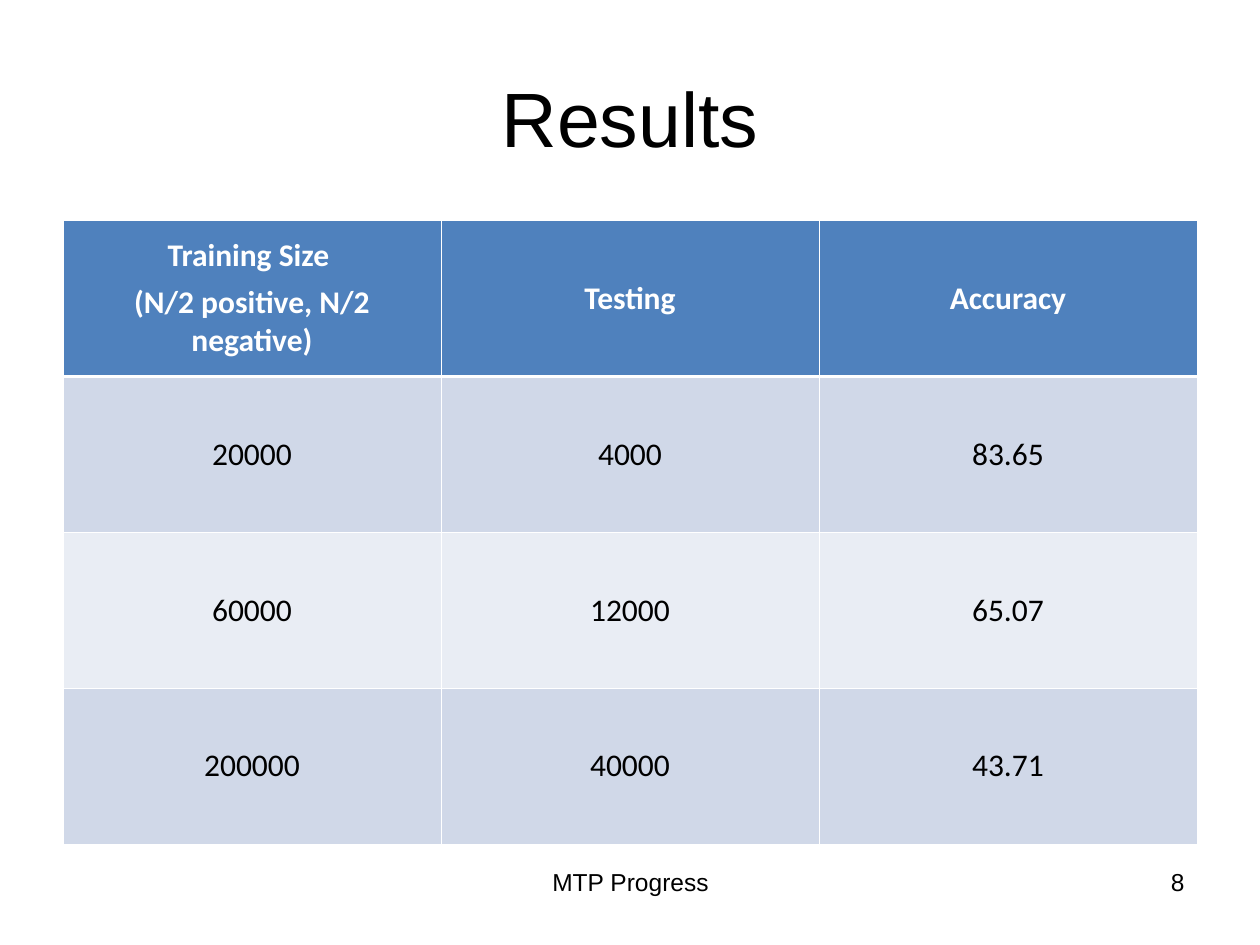
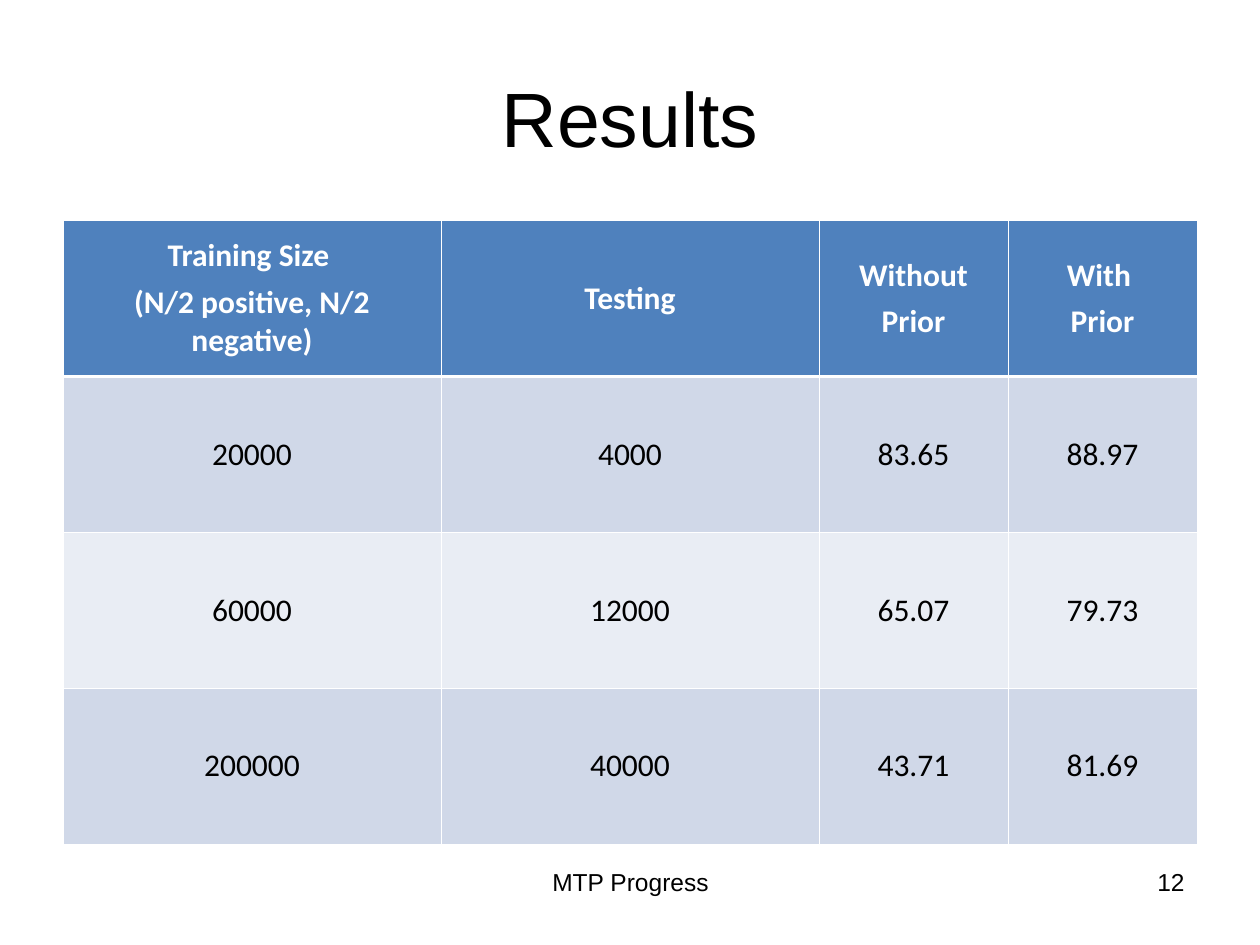
"""Build two results slides, each with a table of accuracy by training size."""
from lxml.etree import SubElement
from pptx import Presentation
from pptx.dml.color import RGBColor
from pptx.enum.text import MSO_ANCHOR, PP_ALIGN
from pptx.oxml.ns import qn
from pptx.util import Inches, Pt

BLACK = RGBColor(0x00, 0x00, 0x00)
WHITE = RGBColor(0xFF, 0xFF, 0xFF)
HEADER = RGBColor(0x4F, 0x81, 0xBD)
BANDS = [RGBColor(0xE9, 0xED, 0xF4), RGBColor(0xD0, 0xD8, 0xE8)]
THIN, THICK = Pt(0.45), Pt(1.47)
TABLE_HEIGHT = 4.95

SIZE_HEAD = "Training Size \n(N/2 positive, N/2 negative)"
SLIDES = [
    ("8", [3, 3, 3], [
        [SIZE_HEAD, "Testing", "Accuracy"],
        ["20000", "4000", "83.65"],
        ["60000", "12000", "65.07"],
        ["200000", "40000", "43.71"],
    ]),
    ("12", [3, 3, 1.5, 1.5], [
        [SIZE_HEAD, "Testing", "Without\nPrior", "With \nPrior"],
        ["20000", "4000", "83.65", "88.97"],
        ["60000", "12000", "65.07", "79.73"],
        ["200000", "40000", "43.71", "81.69"],
    ]),
]


def style(p, align, font, size, color, bold=False):
    p.alignment = align
    p.font.name = font
    p.font.size = Pt(size)
    p.font.color.rgb = color
    p.font.bold = bold


def add_border(cell, side, width):
    ln = SubElement(cell._tc.get_or_add_tcPr(), qn(f"a:ln{side}"), w=str(width))
    fill = SubElement(ln, qn("a:solidFill"))
    SubElement(fill, qn("a:srgbClr"), val=str(WHITE))


prs = Presentation()
prs.slide_width, prs.slide_height = Inches(10), Inches(7.5)

for number, widths, rows in SLIDES:
    s = prs.slides.add_slide(prs.slide_layouts[5])

    title = s.shapes.title
    title.left, title.top = Inches(0.5), Inches(0.3)
    title.width, title.height = Inches(9), Inches(1.25)
    title.text_frame.text = "Results"
    title.text_frame.vertical_anchor = MSO_ANCHOR.MIDDLE
    style(title.text_frame.paragraphs[0], PP_ALIGN.CENTER, "Arial", 44, BLACK)

    table = s.shapes.add_table(len(rows), len(widths), Inches(0.5), Inches(1.75),
                               Inches(9), Inches(TABLE_HEIGHT)).table
    for column, width in zip(table.columns, widths):
        column.width = Inches(width)
    for i, row in enumerate(rows):
        table.rows[i].height = Inches(TABLE_HEIGHT / len(rows))
        for j, text in enumerate(row):
            cell = table.cell(i, j)
            cell.text = text
            cell.vertical_anchor = MSO_ANCHOR.MIDDLE
            for side in "LRTB":
                under_header = (i, side) in [(0, "B"), (1, "T")]
                add_border(cell, side, THICK if under_header else THIN)
            cell.fill.solid()
            cell.fill.fore_color.rgb = HEADER if i == 0 else BANDS[i % 2]
            for p in cell.text_frame.paragraphs:
                style(p, PP_ALIGN.CENTER, "Calibri", 18, WHITE if i == 0 else BLACK, i == 0)
                p.space_before = Pt(4.5)

    for text, left, width, align in [("MTP Progress", 3.42, 3.17, PP_ALIGN.CENTER),
                                     (number, 7.17, 2.33, PP_ALIGN.RIGHT)]:
        tf = s.shapes.add_textbox(Inches(left), Inches(6.83), Inches(width), Inches(0.52)).text_frame
        tf.word_wrap = True
        tf.text = text
        style(tf.paragraphs[0], align, "Arial", 14, BLACK)

prs.save("out.pptx")
